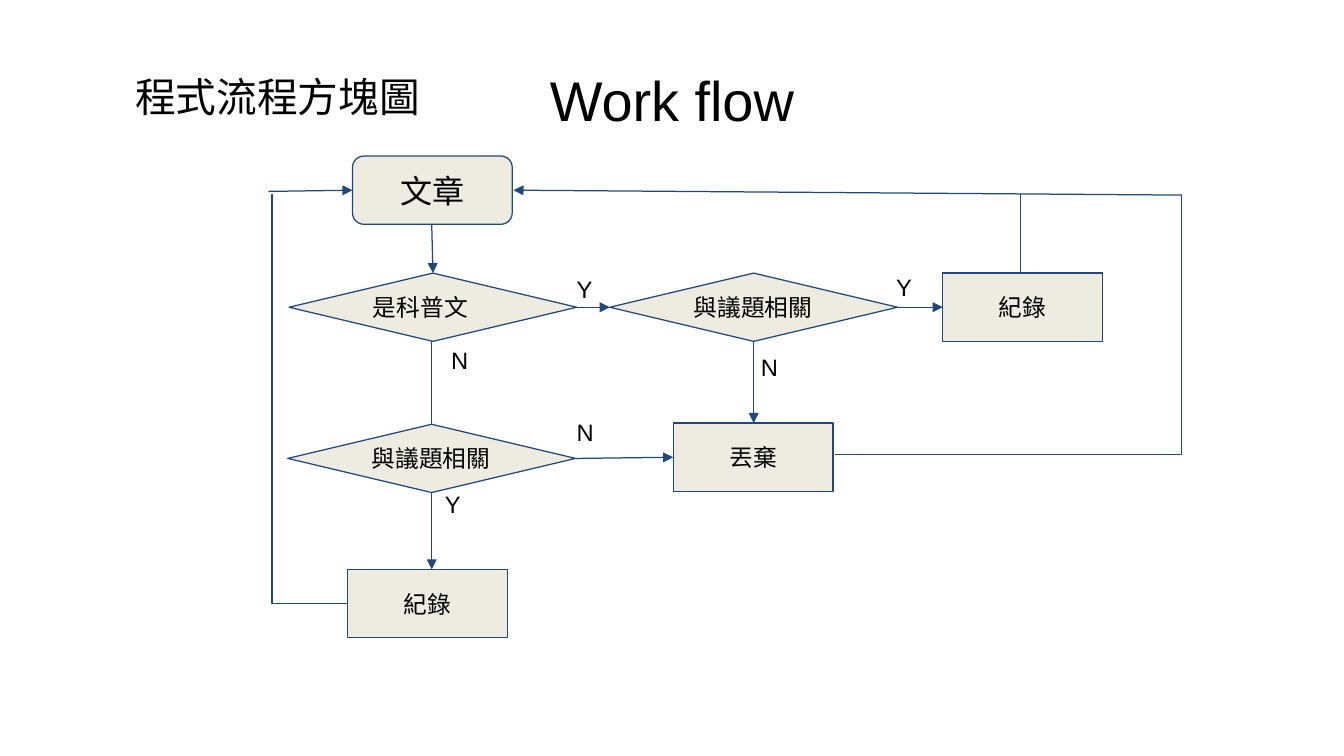
from dataclasses import dataclass

from pptx import Presentation
from pptx.dml.color import RGBColor
from pptx.enum import shapes, text
from pptx.oxml import ns, xmlchemy
from pptx.util import Inches, Pt


@dataclass(frozen=True)
class Theme:
    font: str = "Arial"
    ink: RGBColor = RGBColor(0x00, 0x00, 0x00)
    fill: RGBColor = RGBColor(0xEE, 0xEC, 0xE1)
    line: RGBColor = RGBColor(0x1F, 0x49, 0x7D)
    line_width: float = 0.75
    title: int = 33
    subtitle: int = 24
    start: int = 19
    label: int = 14


theme = Theme()


def write(box, words, size=theme.label, align=text.PP_ALIGN.LEFT,
          anchor=text.MSO_ANCHOR.TOP, inset=0.1):
    frame = box.text_frame
    frame.word_wrap = True
    frame.auto_size = text.MSO_AUTO_SIZE.NONE
    frame.vertical_anchor = anchor
    frame.margin_left = frame.margin_right = Inches(inset)
    frame.margin_top = frame.margin_bottom = Inches(inset)
    para = frame.paragraphs[0]
    para.alignment = align
    span = para.add_run()
    span.text = words
    span.font.name = theme.font
    span.font.size = Pt(size)
    span.font.color.rgb = theme.ink


deck = Presentation()
deck.slide_width, deck.slide_height = Inches(11.02), Inches(6.2)
page = deck.slides.add_slide(deck.slide_layouts[5])

# Headings
title = page.shapes.title
title.left, title.top = Inches(0.55), Inches(0.5)
title.width, title.height = Inches(9.92), Inches(0.62)
write(title, "Work flow", size=theme.title, align=text.PP_ALIGN.CENTER,
      anchor=text.MSO_ANCHOR.MIDDLE, inset=0)
subtitle = page.shapes.add_textbox(
    Inches(1.11), Inches(0.59), Inches(3.05), Inches(0.56))
write(subtitle, "程式流程方塊圖", size=theme.subtitle, inset=0)

# Straight links: start, end, arrowhead at the end
links = [
    ((3.54, 1.84), (3.55, 2.24), True),
    ((4.73, 2.52), (5.00, 2.52), True),
    ((7.36, 2.52), (7.73, 2.52), True),
    ((3.54, 2.80), (3.54, 3.48), False),
    ((3.54, 4.04), (3.54, 4.67), True),
    ((6.18, 2.79), (6.18, 3.47), True),
    ((4.72, 3.76), (5.52, 3.75), True),
    ((2.20, 1.57), (2.89, 1.56), True),
    ((9.69, 1.60), (4.21, 1.56), True),
    ((8.37, 2.24), (8.37, 1.59), False),
]
for start, end, has_arrow in links:
    link = page.shapes.add_connector(
        shapes.MSO_CONNECTOR.STRAIGHT, *map(Inches, start + end))
    link.line.color.rgb = theme.line
    link.line.width = Pt(theme.line_width)
    if has_arrow:
        head = xmlchemy.OxmlElement("a:tailEnd")
        head.set("type", "triangle")
        link.line._get_or_add_ln().append(head)
    link._element.find(ns.qn("p:spPr")).append(
        xmlchemy.OxmlElement("a:effectLst"))

# Return routes to the article
routes = [
    [(2.85, 4.95), (2.23, 4.95), (2.23, 1.59)],
    [(6.85, 3.73), (9.69, 3.73), (9.69, 1.60)],
]
for points in routes:
    corners = [(Inches(x), Inches(y)) for x, y in points]
    builder = page.shapes.build_freeform(*corners[0])
    builder.add_line_segments(corners[1:], close=False)
    route = builder.convert_to_shape()
    route.shadow.inherit = False
    route.fill.background()
    route.line.color.rgb = theme.line
    route.line.width = Pt(theme.line_width)

# Steps and decisions
node_height = 0.56
step_width, decision_width = 1.31, 2.36
kinds = {
    "start": (shapes.MSO_SHAPE.FLOWCHART_ALTERNATE_PROCESS, step_width,
              theme.start, text.PP_ALIGN.CENTER),
    "step": (shapes.MSO_SHAPE.RECTANGLE, step_width,
             theme.label, text.PP_ALIGN.CENTER),
    "decision": (shapes.MSO_SHAPE.FLOWCHART_DECISION, decision_width,
                 theme.label, text.PP_ALIGN.LEFT),
}
nodes = [
    ("start", "文章", 2.89, 1.28),
    ("decision", "是科普文", 2.37, 2.24),
    ("decision", "與議題相關", 5.00, 2.24),
    ("step", "紀錄", 7.73, 2.24),
    ("decision", "與議題相關", 2.36, 3.48),
    ("step", "丟棄", 5.52, 3.47),
    ("step", "紀錄", 2.85, 4.67),
]
for kind, words, left, top in nodes:
    preset, width, size, align = kinds[kind]
    node = page.shapes.add_shape(
        preset, Inches(left), Inches(top), Inches(width), Inches(node_height))
    node.shadow.inherit = False
    node.fill.solid()
    node.fill.fore_color.rgb = theme.fill
    node.line.color.rgb = theme.line
    node.line.width = Pt(theme.line_width)
    write(node, words, size=size, align=align, anchor=text.MSO_ANCHOR.MIDDLE)

# Answers beside the links
answers = [
    ("Y", 4.63, 2.15), ("Y", 7.25, 2.14), ("N", 3.60, 2.74),
    ("N", 6.14, 2.79), ("Y", 3.55, 3.92), ("N", 4.63, 3.33),
]
for words, left, top in answers:
    answer = page.shapes.add_textbox(
        Inches(left), Inches(top), Inches(0.37), Inches(0.37))
    write(answer, words)

deck.save("out.pptx")
